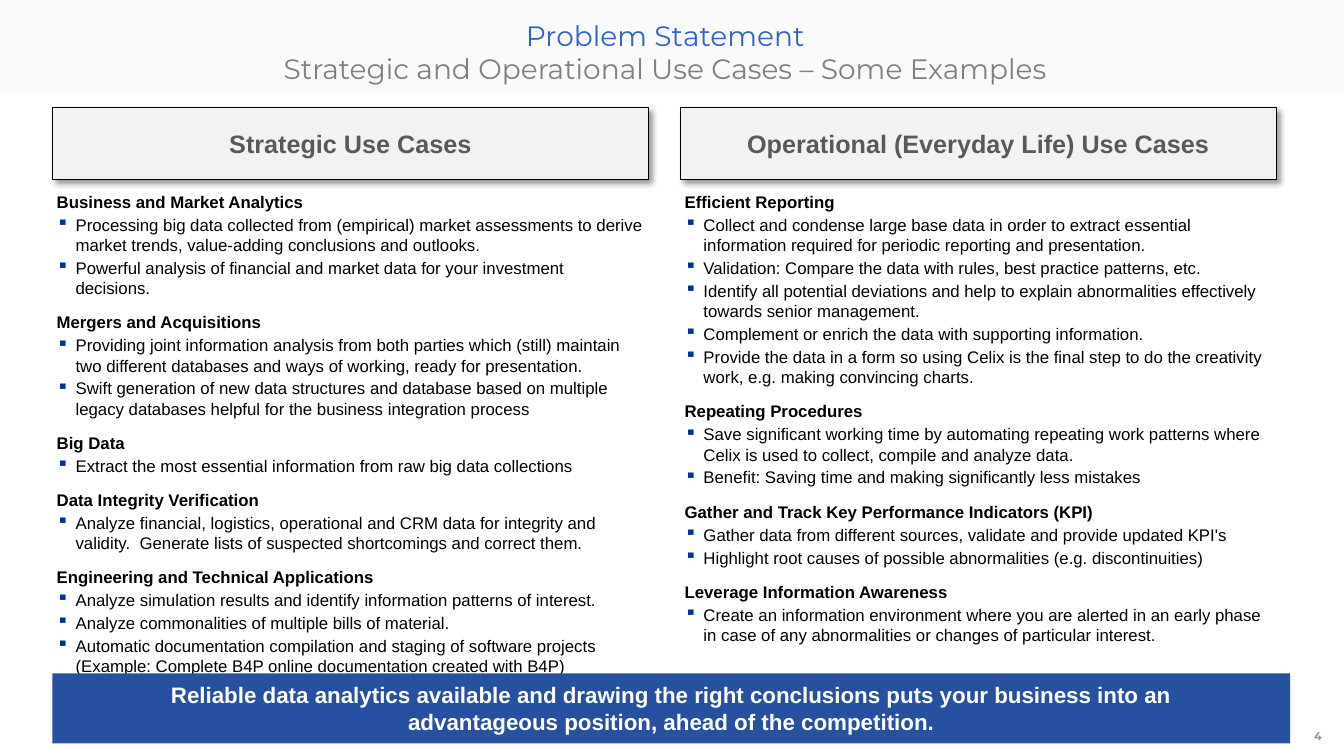
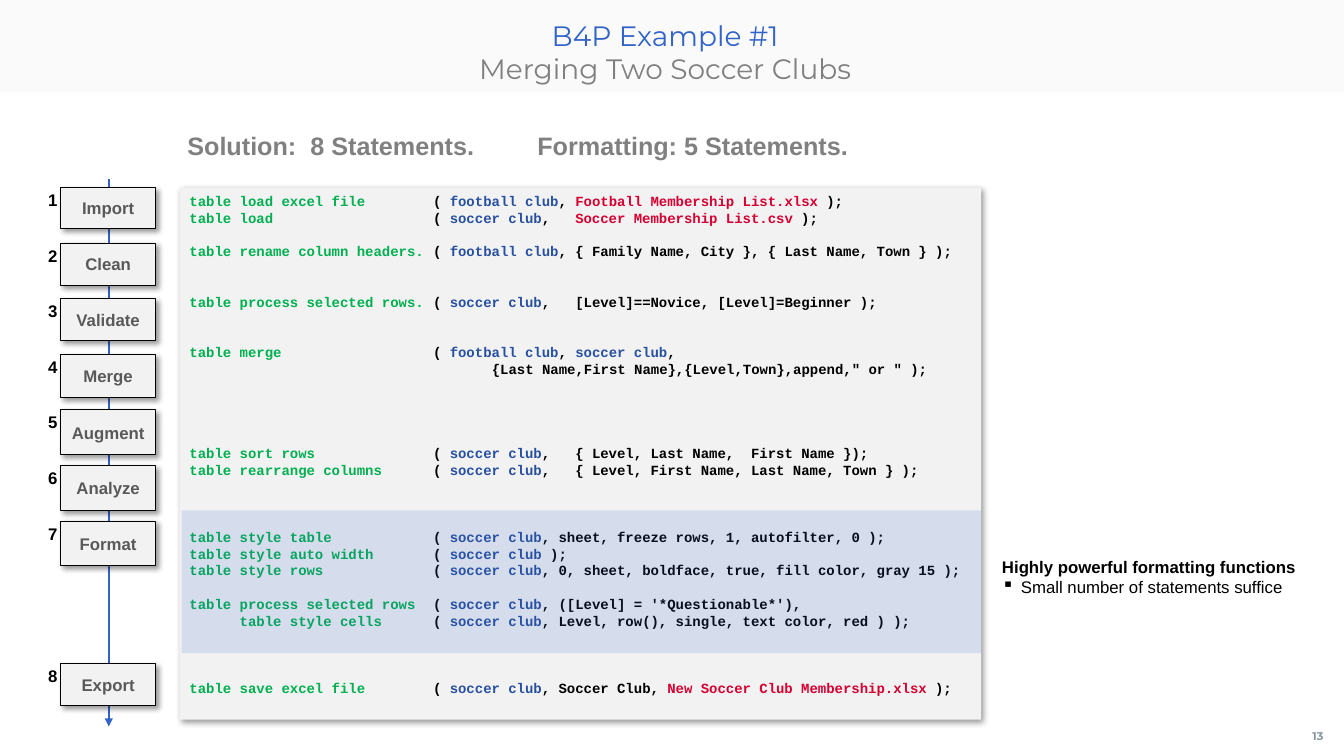
from pptx import Presentation
from pptx.dml.color import RGBColor
from pptx.enum.shapes import MSO_CONNECTOR, MSO_SHAPE
from pptx.enum.text import MSO_ANCHOR, PP_ALIGN
from pptx.oxml.ns import qn
from pptx.util import Pt
from lxml import etree

RECTANGLE = MSO_SHAPE.RECTANGLE
STRAIGHT = MSO_CONNECTOR.STRAIGHT
TOP, MIDDLE = MSO_ANCHOR.TOP, MSO_ANCHOR.MIDDLE
LEFT, CENTER, RIGHT = PP_ALIGN.LEFT, PP_ALIGN.CENTER, PP_ALIGN.RIGHT

COLORS = {
    "blue": "3264C8", "navy": "2850A0", "bullet": "003399", "green": "00B050",
    "red": "D50032", "black": "000000", "white": "FFFFFF", "panel": "F2F2F2",
    "gray": "808080", "label": "595959", "number": "8996A0",
}
TITLE_FONT, BODY_FONT, CODE_FONT = "Montserrat", "Arial", "Courier New"
TIGHT = (3, 3, 3, 3)
NORMAL = (7.2, 3.6, 7.2, 3.6)
LINE_FACTOR = 1.2

# Content of the use case page: (heading, bullets) per column
STRATEGIC = [
    ("Business and Market Analytics", [
        "Processing big data collected from (empirical) market assessments to derive "
        "market trends, value-adding conclusions and outlooks.",
        "Powerful analysis of financial and market data for your investment decisions."]),
    ("Mergers and Acquisitions", [
        "Providing joint information analysis from both parties which (still) maintain "
        "two different databases and ways of working, ready for presentation.",
        "Swift generation of new data structures and database based on multiple "
        "legacy databases helpful for the business integration process"]),
    ("Big Data", [
        "Extract the most essential information from raw big data collections"]),
    ("Data Integrity Verification", [
        "Analyze financial, logistics, operational and CRM data for integrity and "
        "validity.  Generate lists of suspected shortcomings and correct them."]),
    ("Engineering and Technical Applications", [
        "Analyze simulation results and identify information patterns of interest.",
        "Analyze commonalities of multiple bills of material.",
        "Automatic documentation compilation and staging of software projects "
        "(Example: Complete B4P online documentation created with B4P)"]),
]
OPERATIONAL = [
    ("Efficient Reporting", [
        "Collect and condense large base data in order to extract essential "
        "information required for periodic reporting and presentation.",
        "Validation: Compare the data with rules, best practice patterns, etc.",
        "Identify all potential deviations and help to explain abnormalities effectively "
        "towards senior management.",
        "Complement or enrich the data with supporting information.",
        "Provide the data in a form so using Celix is the final step to do the creativity "
        "work, e.g. making convincing charts."]),
    ("Repeating Procedures", [
        "Save significant working time by automating repeating work patterns where "
        "Celix is used to collect, compile and analyze data.",
        "Benefit: Saving time and making significantly less mistakes"]),
    ("Gather and Track Key Performance Indicators (KPI)", [
        "Gather data from different sources, validate and provide updated KPI's",
        "Highlight root causes of possible abnormalities (e.g. discontinuities)"]),
    ("Leverage Information Awareness", [
        "Create an information environment where you are alerted in an early phase "
        "in case of any abnormalities or changes of particular interest."]),
]

# Content of the code page: (lines skipped before, command, arguments);
# bars enclose table names and file names
STATEMENTS = [
    (0, "table load excel file", "( |football club|, |Football Membership List.xlsx| );"),
    (0, "table load", "( |soccer club|,   |Soccer Membership List.csv| );"),
    (1, "table rename column headers.",
     "( |football club|, { Family Name, City }, { Last Name, Town } );"),
    (2, "table process selected rows.",
     "( |soccer club|,   [Level]==Novice, [Level]=Beginner );"),
    (2, "table merge", "( |football club|, |soccer club|,"),
    (0, "", "\t{Last Name,First Name},{Level,Town},append,\" or \" );"),
    (4, "table sort rows", "( |soccer club|,   { Level, Last Name,  First Name });"),
    (0, "table rearrange columns",
     "( |soccer club|,   { Level, First Name, Last Name, Town } );"),
    (3, "table style table", "( |soccer club|, sheet, freeze rows, 1, autofilter, 0 );"),
    (0, "table style auto width", "( |soccer club| );"),
    (0, "table style rows",
     "( |soccer club|, 0, sheet, boldface, true, fill color, gray 15 );"),
    (1, "table process selected rows", "( |soccer club|, ([Level] = '*Questionable*'),"),
    (0, "      table style cells",
     "( |soccer club|, Level, row(), single, text color, red ) );"),
    (3, "table save excel file",
     "( |soccer club|, Soccer Club, |New Soccer Club Membership.xlsx| );"),
]
STEPS = [("Import", 29), ("Clean", 30), ("Validate", 30), ("Merge", 31),
         ("Augment", 32), ("Analyze", 32), ("Format", 32), ("Export", 30)]


def add_element(parent, tag, **attributes):
    return etree.SubElement(parent, qn(tag), attributes)


def style_font(font, size, color, bold=False, name=BODY_FONT):
    font.size, font.bold, font.name = Pt(size), bold, name
    font.color.rgb = RGBColor.from_string(COLORS[color])


def set_tabs(para, *stops):
    tabs = add_element(para._p.get_or_add_pPr(), "a:tabLst")
    for stop in stops:
        add_element(tabs, "a:tab", pos=str(Pt(stop)), algn="l")


def set_bullet(para, color=None):
    properties = para._p.get_or_add_pPr()
    properties.set("marL", str(Pt(13.5)))
    properties.set("indent", str(-Pt(13.5)))
    if color:
        add_element(add_element(properties, "a:buClr"), "a:srgbClr", val=COLORS[color])
    add_element(properties, "a:buChar", char="▪")


class DeckBuilder:
    """Holds the deck, its style and the current page."""

    def __init__(self):
        self.deck = Presentation()
        self.deck.slide_width, self.deck.slide_height = Pt(960), Pt(540)
        self.page = None

    def open_page(self, title, subtitle, number):
        """Start a page with the shared band, title and page number."""
        self.page = self.deck.slides.add_slide(self.deck.slide_layouts[6])
        self.rectangle(0, 0, 960, 66, "panel", opacity=34)
        self.text(928, 512, 32.5, 28, [number], 8, "number", True, TITLE_FONT, CENTER,
                  MIDDLE, (0, 3.6, 5.8, 3.6))
        box = self.text(36.75, 9.5, 884, 57, [title, subtitle], 20, "blue",
                        name=TITLE_FONT, align=CENTER, inset=(0, 3.6, 7.2, 3.6))
        style_font(box.text_frame.paragraphs[1].runs[0].font, 20, "gray", name=TITLE_FONT)

    def rectangle(self, left, top, width, height, fill, line=None, shadow=False,
                  opacity=None):
        box = self.page.shapes.add_shape(RECTANGLE, Pt(left), Pt(top), Pt(width), Pt(height))
        box.shadow.inherit = False
        box.fill.solid()
        box.fill.fore_color.rgb = RGBColor.from_string(COLORS[fill])
        if line:
            box.line.color.rgb = RGBColor.from_string(COLORS[line])
            box.line.width = Pt(0.75)
        else:
            box.line.fill.background()
        if opacity:
            color = box._element.spPr.find(qn("a:solidFill"))[0]
            add_element(color, "a:alpha", val=str(opacity * 1000))
        if shadow:
            effects = box._element.spPr.find(qn("a:effectLst"))
            outer = add_element(effects, "a:outerShdw", blurRad=str(Pt(4)), dist=str(Pt(3)),
                                dir="2700000", algn="tl", rotWithShape="0")
            color = add_element(outer, "a:srgbClr", val=COLORS["black"])
            add_element(color, "a:alpha", val="40000")
        return box

    def set_frame(self, box, anchor, inset):
        frame = box.text_frame
        frame.word_wrap, frame.vertical_anchor = True, anchor
        (frame.margin_left, frame.margin_top,
         frame.margin_right, frame.margin_bottom) = map(Pt, inset)
        return frame

    def set_text(self, box, lines, size, color, bold=False, name=BODY_FONT, align=LEFT,
                 anchor=TOP, inset=TIGHT):
        """Fill a box with one paragraph per line, all in one style."""
        frame = self.set_frame(box, anchor, inset)
        frame.text = "\n".join(lines)
        for para in frame.paragraphs:
            para.alignment, para.line_spacing = align, Pt(size * LINE_FACTOR)
            for span in para.runs:
                style_font(span.font, size, color, bold, name)
        return box

    def text(self, left, top, width, height, lines, *style, **options):
        box = self.page.shapes.add_textbox(Pt(left), Pt(top), Pt(width), Pt(height))
        return self.set_text(box, lines, *style, **options)

    def label(self, left, top, width, height, caption, size):
        """Gray shadowed box with a centred caption."""
        box = self.rectangle(left, top, width, height, "panel", "black", shadow=True)
        self.set_text(box, [caption], size, "label", True, align=CENTER, anchor=MIDDLE)

    def sections(self, left, top, width, height, groups, bullet=None, gap=0, after=0):
        """Bold headings, each followed by its bullets."""
        lines, headings = [], set()
        for heading, bullets in groups:
            headings.add(len(lines))
            lines += [heading, *bullets]
        box = self.text(left, top, width, height, lines, 12, "black")
        for index, para in enumerate(box.text_frame.paragraphs):
            is_heading = index in headings
            if not is_heading:
                set_bullet(para, bullet)
            para.runs[0].font.bold = is_heading
            para.space_after = Pt(after)
            if index:
                para.space_before = Pt(gap if is_heading else after)

    def code(self, box, statements, size=10):
        """Coloured statements with the arguments on a tab stop."""
        frame = self.set_frame(box, TOP, NORMAL)
        pitch = size * LINE_FACTOR
        for index, (skipped, command, arguments) in enumerate(statements):
            para = frame.add_paragraph() if index else frame.paragraphs[0]
            set_tabs(para, 174, 216)
            para.alignment, para.line_spacing = LEFT, Pt(pitch)
            if skipped:
                para.space_before = Pt(skipped * pitch)
            spans = [(command, "green")] if command else []
            for place, piece in enumerate(("\t" + arguments).split("|")):
                name_color = "red" if piece.endswith((".xlsx", ".csv")) else "navy"
                spans.append((piece, name_color if place % 2 else "black"))
            for words, color in spans:
                span = para.add_run()
                span.text = words
                style_font(span.font, size, color, True, CODE_FONT)

    def arrow(self, x, top, bottom):
        arrow = self.page.shapes.add_connector(STRAIGHT, Pt(x), Pt(top), Pt(x), Pt(bottom))
        arrow.line.color.rgb = RGBColor.from_string(COLORS["blue"])
        arrow.line.width = Pt(1.75)
        properties = arrow._element.spPr
        add_element(properties.find(qn("a:ln")), "a:tailEnd", type="triangle")
        add_element(properties, "a:effectLst")


def build_use_cases(builder):
    builder.open_page("Problem Statement",
                      "Strategic and Operational Use Cases – Some Examples", "4")
    # Two columns
    columns = [("Strategic Use Cases", STRATEGIC),
               ("Operational (Everyday Life) Use Cases", OPERATIONAL)]
    for index, (caption, groups) in enumerate(columns):
        left = 37.5 + index * 448.5
        builder.label(left, 77, 425.5, 51, caption, 18)
        builder.sections(left, 134, 425.5, 306, groups, "bullet", gap=9, after=1)
    # Conclusion
    banner = builder.rectangle(37.5, 481, 884, 50, "navy")
    builder.set_text(banner, [
        "Reliable data analytics available and drawing the right conclusions puts "
        "your business into an",
        "advantageous position, ahead of the competition."],
        16, "white", True, align=CENTER, anchor=MIDDLE)


def build_code_example(builder):
    builder.open_page("B4P Example #1", "Merging Two Soccer Clubs", "13")
    # Heading
    heading = builder.text(126.75, 89.5, 744, 29,
                           ["Solution:  8 Statements.\tFormatting: 5 Statements."],
                           18, "gray", True, inset=NORMAL)
    set_tabs(heading.text_frame.paragraphs[0], 250)
    # Numbered steps on the arrow
    builder.arrow(77.75, 128, 519)
    for index, (caption, height) in enumerate(STEPS):
        top = 474 if caption == "Export" else 134 + index * 39.7
        builder.label(43.25, top, 68, height, caption, 12)
        builder.text(26.5, top, 17.5, 17.5, [str(index + 1)], 12, "black", True,
                     align=RIGHT, anchor=MIDDLE)
    # Statements, with the formatting part tinted
    panel = builder.rectangle(128.25, 134, 572.5, 380, "panel", shadow=True)
    builder.code(panel, STATEMENTS)
    builder.rectangle(129.75, 364.5, 571, 102, "blue", opacity=15)
    # Side note
    builder.sections(712.75, 394.5, 227, 51, [
        ("Highly powerful formatting functions", ["Small number of statements suffice"])])


def main():
    builder = DeckBuilder()
    build_use_cases(builder)
    build_code_example(builder)
    builder.deck.save("out.pptx")


if __name__ == "__main__":
    main()
